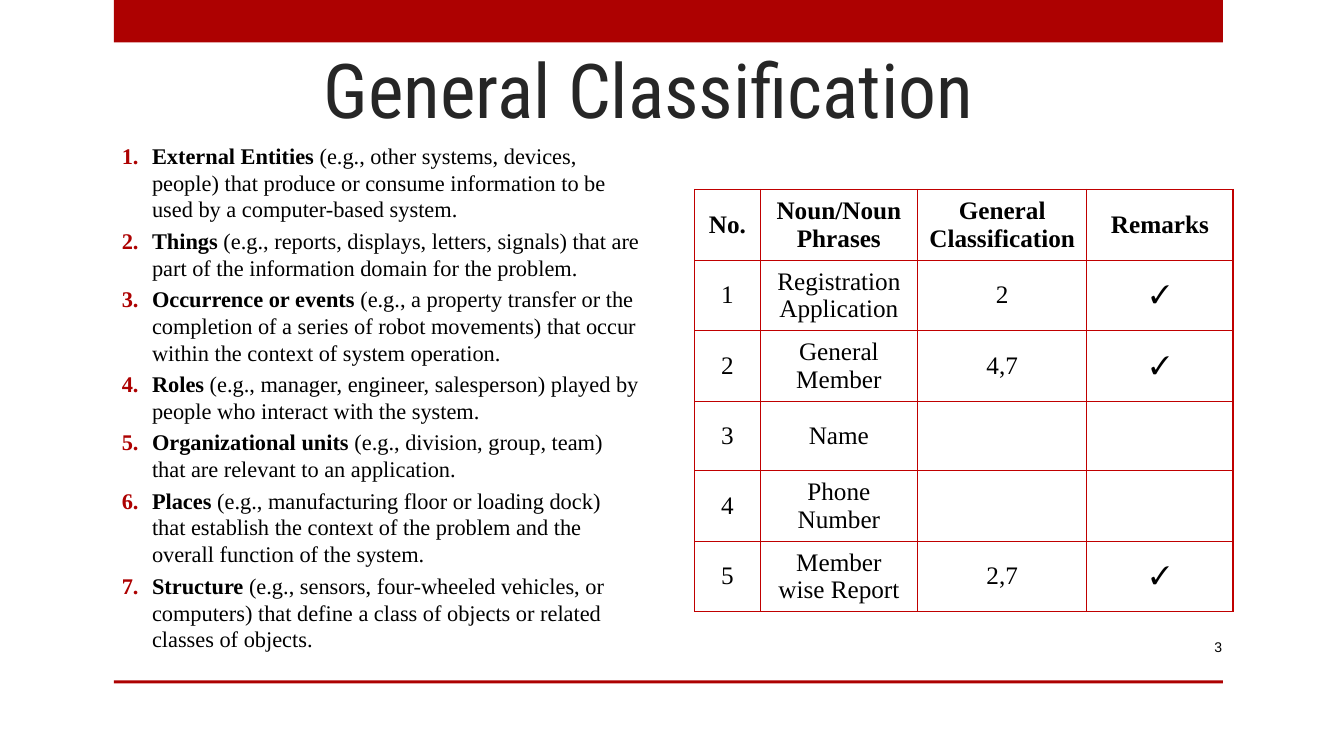
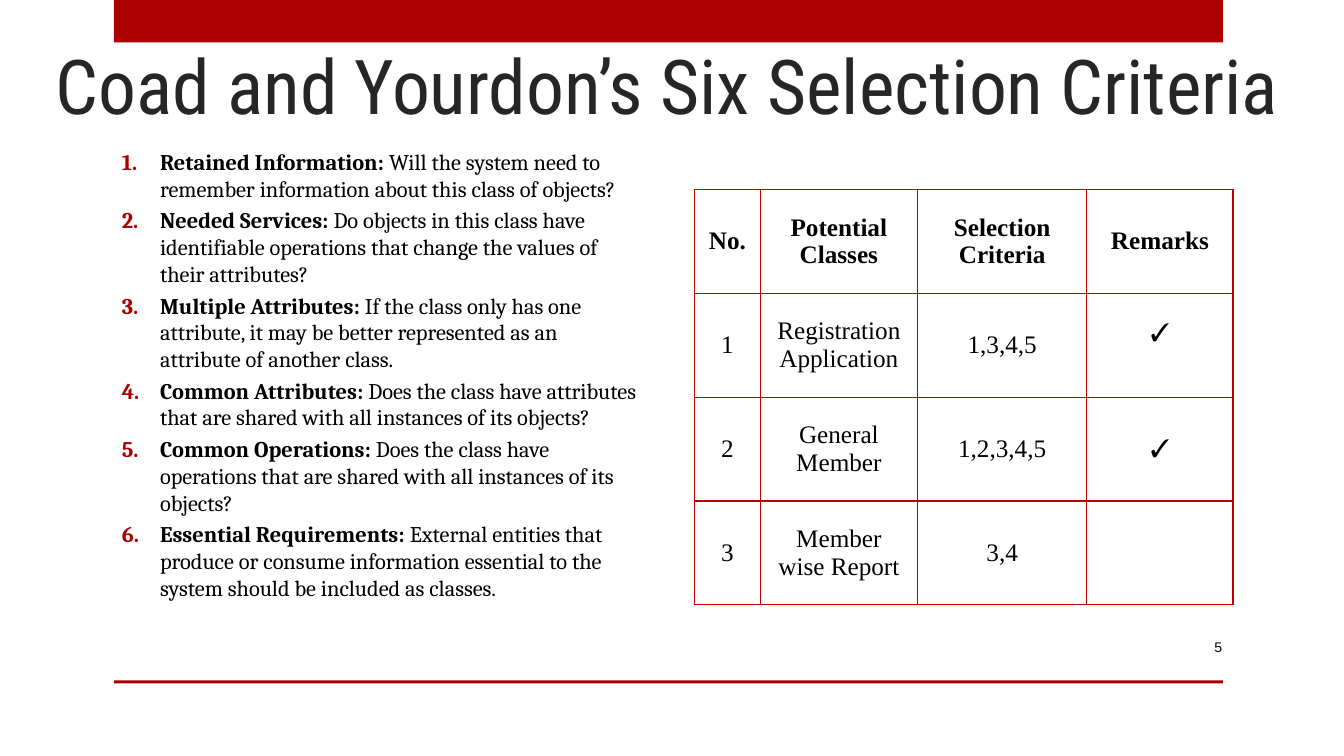
from dataclasses import dataclass

from lxml import etree
from pptx import Presentation
from pptx.dml.color import RGBColor
from pptx.enum.shapes import MSO_SHAPE
from pptx.enum.text import MSO_ANCHOR, PP_ALIGN
from pptx.oxml.ns import qn
from pptx.util import Inches, Pt


@dataclass(frozen=True)
class Theme:
    accent: str = "AD0101"
    border: str = "C00000"
    title_ink: str = "262626"
    ink: str = "000000"
    paper: str = "FFFFFF"
    title_font: str = "Roboto Condensed"
    table_font: str = "Times New Roman"
    number_font: str = "Arial"
    title_size: int = 54
    list_size: int = 16
    table_size: int = 18
    number_size: int = 10


THEME = Theme()

# Shared layout, in inches: left, top, width, height
SLIDE_SIZE = (13.33, 7.5)
BANDS = [(1.13, 0, 11, 0.42), (1.13, 6.75, 11, 0.03)]
NUMBER_BOX = (11.11, 6.22, 1.11, 0.4)
TABLE_BOX = (6.89, 1.88, 5.33, 4.12)
COLUMNS = (0.65, 1.56, 1.68, 1.45)
TICK_LIFT = 0.3

# Content
SLIDES = [
    {
        "title": "General Classification",
        "title_box": (3.14, 0.4, 7.05, 0.96),
        "number": "3",
        "list_box": (1.11, 1.42, 5.33, 5.04),
        "list_font": "Times New Roman",
        "indent": 0.3,
        "points": [
            ("External Entities",
             " (e.g., other systems, devices, people) that produce or consume "
             "information to be used by a computer-based system."),
            ("Things",
             " (e.g., reports, displays, letters, signals) that are part of the "
             "information domain for the problem."),
            ("Occurrence or events",
             " (e.g., a property transfer or the completion of a series of robot "
             "movements) that occur within the context of system operation."),
            ("Roles",
             " (e.g., manager, engineer, salesperson) played by people who "
             "interact with the system."),
            ("Organizational units",
             " (e.g., division, group, team) that are relevant to an application."),
            ("Places",
             " (e.g., manufacturing floor or loading dock) that establish the "
             "context of the problem and the overall function of the system."),
            ("Structure",
             " (e.g., sensors, four-wheeled vehicles, or computers) that define a "
             "class of objects or related classes of objects."),
        ],
        "table": [
            ("No.", "Noun/Noun Phrases", "General Classification", "Remarks"),
            ("1", "Registration Application", "2", "✓"),
            ("2", "General Member", "4,7", "✓"),
            ("3", "Name", "", ""),
            ("4", "Phone Number", "", ""),
            ("5", "Member wise Report", "2,7", "✓"),
        ],
        "lifted": [],
    },
    {
        "title": "Coad and Yourdon’s Six Selection Criteria",
        "title_box": (0.48, 0.36, 12.81, 0.96),
        "number": "5",
        "list_box": (1.11, 1.27, 5.33, 4.89),
        "list_font": "Cambria",
        "indent": 0.38,
        "points": [
            ("Retained Information: ",
             "Will the system need to remember information about this class of "
             "objects?"),
            ("Needed Services: ",
             "Do objects in this class have identifiable operations that change "
             "the values of their attributes?"),
            ("Multiple Attributes: ",
             "If the class only has one attribute, it may be better represented "
             "as an attribute of another class."),
            ("Common Attributes: ",
             "Does the class have attributes that are shared with all instances "
             "of its objects?"),
            ("Common Operations: ",
             "Does the class have operations that are shared with all instances "
             "of its objects?"),
            ("Essential Requirements: ",
             "External entities that produce or consume information essential to "
             "the system should be included as classes."),
        ],
        "table": [
            ("No.", "Potential Classes", "Selection Criteria", "Remarks"),
            ("1", "Registration Application", "1,3,4,5", "✓"),
            ("2", "General Member", "1,2,3,4,5", "✓"),
            ("3", "Member wise Report", "3,4", ""),
        ],
        "lifted": [(1, 3)],
    },
]


def rgb(colour):
    return RGBColor.from_string(colour)


def inches(box):
    return [Inches(length) for length in box]


def style(paragraph, font, size, colour=THEME.ink):
    paragraph.font.name = font
    paragraph.font.size = Pt(size)
    paragraph.font.color.rgb = rgb(colour)


def add_text_frame(slide, box, anchor=MSO_ANCHOR.MIDDLE):
    frame = slide.shapes.add_textbox(*inches(box)).text_frame
    frame.word_wrap = True
    frame.vertical_anchor = anchor
    return frame


# Red bands and page number
def add_furniture(slide, number):
    for box in BANDS:
        band = slide.shapes.add_shape(MSO_SHAPE.RECTANGLE, *inches(box))
        band.shadow.inherit = False
        band.fill.solid()
        band.fill.fore_color.rgb = rgb(THEME.accent)
        band.line.fill.background()
    page = add_text_frame(slide, NUMBER_BOX).paragraphs[0]
    page.text = number
    page.alignment = PP_ALIGN.RIGHT
    style(page, THEME.number_font, THEME.number_size)


def add_title(slide, text, box):
    frame = add_text_frame(slide, box, MSO_ANCHOR.TOP)
    frame.margin_left = frame.margin_right = Inches(0.07)
    frame.margin_top = frame.margin_bottom = Inches(0.03)
    title = frame.paragraphs[0]
    title.text = text
    style(title, THEME.title_font, THEME.title_size, THEME.title_ink)


# Numbered list with a bold lead-in
def number_paragraph(paragraph, indent):
    props = paragraph._p.get_or_add_pPr()
    props.set("marL", str(Inches(indent)))
    props.set("indent", str(-Inches(indent)))
    colour = etree.SubElement(props, qn("a:buClr"))
    etree.SubElement(colour, qn("a:srgbClr"), val=THEME.accent)
    etree.SubElement(props, qn("a:buFont"), typeface="+mj-lt")
    etree.SubElement(props, qn("a:buAutoNum"), type="arabicPeriod")


def add_points(slide, points, box, font, indent):
    frame = add_text_frame(slide, box)
    for index, (lead, explanation) in enumerate(points):
        point = frame.paragraphs[0] if index == 0 else frame.add_paragraph()
        number_paragraph(point, indent)
        style(point, font, THEME.list_size)
        point.line_spacing = Pt(THEME.list_size * 1.2)
        if index:
            point.space_before = Pt(THEME.list_size * 0.2)
        for text, bold in ((lead, True), (explanation, False)):
            run = point.add_run()
            run.text = text
            run.font.bold = bold


# Classification table
def add_borders(cell):
    props = cell._tc.get_or_add_tcPr()
    for side in ("lnL", "lnR", "lnT", "lnB"):
        line = etree.SubElement(props, qn(f"a:{side}"), w=str(Pt(1)))
        fill = etree.SubElement(line, qn("a:solidFill"))
        etree.SubElement(fill, qn("a:srgbClr"), val=THEME.border)


def add_grid(slide, rows, lifted):
    table = slide.shapes.add_table(len(rows), len(COLUMNS), *inches(TABLE_BOX)).table
    table.first_row = table.horz_banding = False
    for column, width in zip(table.columns, COLUMNS):
        column.width = Inches(width)
    for r, row in enumerate(rows):
        table.rows[r].height = Inches(TABLE_BOX[3] / len(rows))
        for c, text in enumerate(row):
            cell = table.cell(r, c)
            add_borders(cell)
            cell.fill.solid()
            cell.fill.fore_color.rgb = rgb(THEME.paper)
            cell.vertical_anchor = MSO_ANCHOR.MIDDLE
            if (r, c) in lifted:
                cell.margin_bottom = Inches(TICK_LIFT)
            entry = cell.text_frame.paragraphs[0]
            entry.text = text
            entry.alignment = PP_ALIGN.CENTER
            style(entry, THEME.table_font, THEME.table_size)
            entry.font.bold = r == 0


def main():
    deck = Presentation()
    deck.slide_width, deck.slide_height = inches(SLIDE_SIZE)
    for content in SLIDES:
        slide = deck.slides.add_slide(deck.slide_layouts[6])
        add_furniture(slide, content["number"])
        add_title(slide, content["title"], content["title_box"])
        add_points(slide, content["points"], content["list_box"],
                   content["list_font"], content["indent"])
        add_grid(slide, content["table"], content["lifted"])
    deck.save("out.pptx")


if __name__ == "__main__":
    main()
